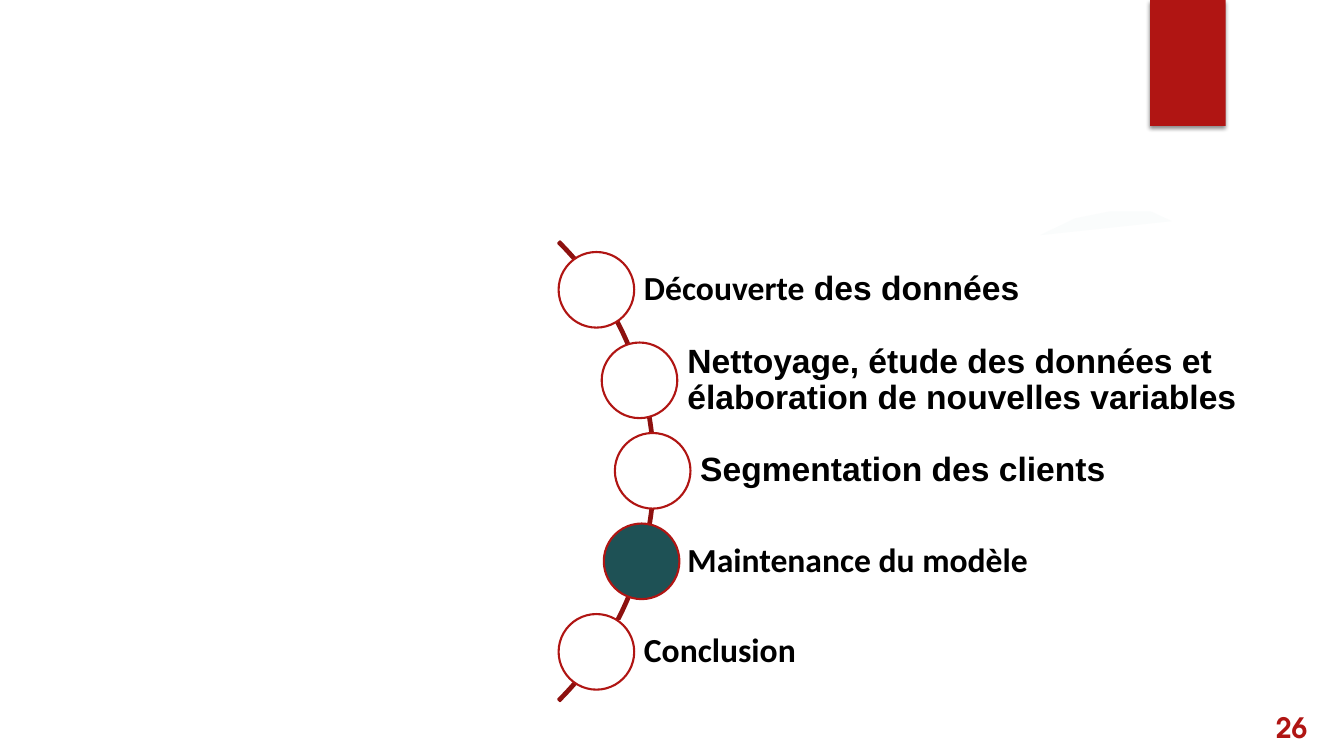
from lxml.etree import SubElement
from pptx import Presentation
from pptx.dml.color import RGBColor
from pptx.enum.shapes import MSO_SHAPE as Preset
from pptx.enum.text import MSO_ANCHOR as Anchor
from pptx.oxml.ns import qn
from pptx.util import Pt

COLORS = {"white": "FFFFFF", "black": "000000", "red": "B01513",
          "dark_red": "8D110F", "teal": "1E5155", "haze": "FAFCFC"}
STEPS = [
    {"runs": [("Découverte", "Calibri"), (" des données", "Arial")],
     "dot_left": 399, "left": 425.6, "height": 34.6, "dot": "white"},
    {"runs": [("Nettoyage, étude des données et élaboration de nouvelles variables", "Arial")],
     "dot_left": 429.8, "left": 456.6, "height": 51, "dot": "white"},
    {"runs": [("Segmentation des clients", "Arial")],
     "dot_left": 439.2, "left": 465.8, "height": 34, "dot": "white"},
    {"runs": [("Maintenance du modèle", "Calibri")],
     "dot_left": 431.3, "left": 456.6, "height": 34, "dot": "teal"},
    {"runs": [("Conclusion", "Calibri")],
     "dot_left": 399, "left": 425.6, "height": 43.2, "dot": "white"},
]
PAGE_NUMBER = "26"
HAZE_POINTS = [(743, 168), (768, 156), (793, 151), (822, 151), (837, 158)]
PANEL_RIGHT, DOT_SIZE, FIRST_CENTER, STEP_PITCH = 955.4, 54, 207, 64.65
PANEL_FRAME = {"word_wrap": True, "vertical_anchor": Anchor.MIDDLE, "margin_left": Pt(34.4),
               "margin_right": Pt(5), "margin_top": Pt(5), "margin_bottom": Pt(5)}
NUMBER_FRAME = {"word_wrap": True, "vertical_anchor": Anchor.MIDDLE}


def rgb(name):
    """Return the named palette colour."""
    return RGBColor.from_string(COLORS[name])


def apply(target, values):
    """Set each attribute in values on target."""
    for name, value in values.items():
        setattr(target, name, value)


def paint(shape, fill, line=None):
    """Give a shape a flat fill and an optional outline."""
    shape.shadow.inherit = False
    shape.fill.solid()
    shape.fill.fore_color.rgb = rgb(fill)
    if line:
        shape.line.color.rgb = rgb(line)
        shape.line.width = Pt(1.5)
    else:
        shape.line.fill.background()


def add_preset(page, preset, left, top, width, height, fill, line=None):
    """Add a painted preset shape."""
    shape = page.shapes.add_shape(preset, Pt(left), Pt(top), Pt(width), Pt(height))
    paint(shape, fill, line)
    return shape


def write(box, runs, size, color, frame):
    """Write one left-aligned line of bold runs."""
    apply(box.text_frame, frame)
    para = box.text_frame.paragraphs[0]
    apply(para, {"alignment": 1, "line_spacing": 0.9})
    for text, font in runs:
        span = para.add_run()
        span.text = text
        apply(span.font, {"name": font, "size": Pt(size), "bold": True})
        span.font.color.rgb = rgb(color)


def add_shadow(shape):
    """Add a soft shadow below a shape."""
    effects = shape.element.spPr.find(qn("a:effectLst"))
    shadow = SubElement(effects, qn("a:outerShdw"), blurRad=str(Pt(3)), dist=str(Pt(2)),
                        dir="5400000", rotWithShape="0")
    tint = SubElement(shadow, qn("a:srgbClr"), val=COLORS["black"])
    SubElement(tint, qn("a:alpha"), val="45000")


def add_step(page, index, step):
    """Add the panel, label and dot of one agenda step."""
    center = FIRST_CENTER + index * STEP_PITCH
    panel = add_preset(page, Preset.RECTANGLE, step["left"], center - step["height"] / 2,
                       PANEL_RIGHT - step["left"], step["height"], "white", "white")
    write(panel, step["runs"], 24, "black", PANEL_FRAME)
    add_preset(page, Preset.OVAL, step["dot_left"], center - DOT_SIZE / 2,
               DOT_SIZE, DOT_SIZE, step["dot"], "red")


def main():
    """Build the agenda slide."""
    deck = Presentation()
    apply(deck, {"slide_width": Pt(960), "slide_height": Pt(540)})
    page = deck.slides.add_slide(deck.slide_layouts[6])

    points = [(Pt(x), Pt(y)) for x, y in HAZE_POINTS]
    builder = page.shapes.build_freeform(*points[0])
    builder.add_line_segments(points[1:], close=True)
    paint(builder.convert_to_shape(), "haze")

    add_shadow(add_preset(page, Preset.RECTANGLE, 821.5, 0, 54, 90, "red"))
    arc = add_preset(page, Preset.BLOCK_ARC, 3.6, 104.4, 464.4, 464.4, "dark_red", "dark_red")
    for index, value in enumerate((189, 27, 0.004)):
        arc.adjustments[index] = value
    for index, step in enumerate(STEPS):
        add_step(page, index, step)

    number = page.shapes.add_textbox(Pt(904.3), Pt(509), Pt(49), Pt(24.5))
    write(number, [(PAGE_NUMBER, "TeX Gyre Adventor")], 20, "red", NUMBER_FRAME)
    deck.save("out.pptx")


if __name__ == "__main__":
    main()
